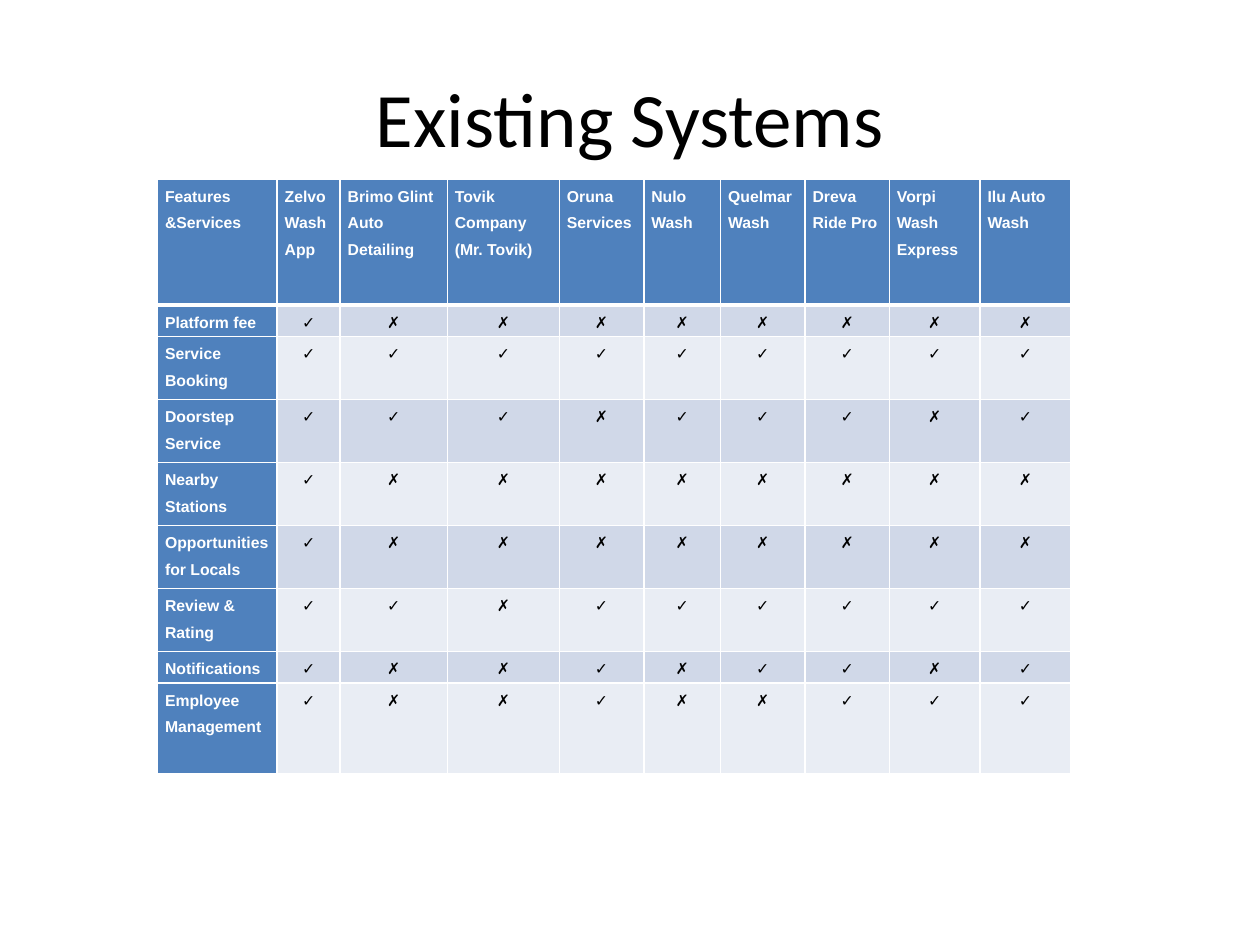
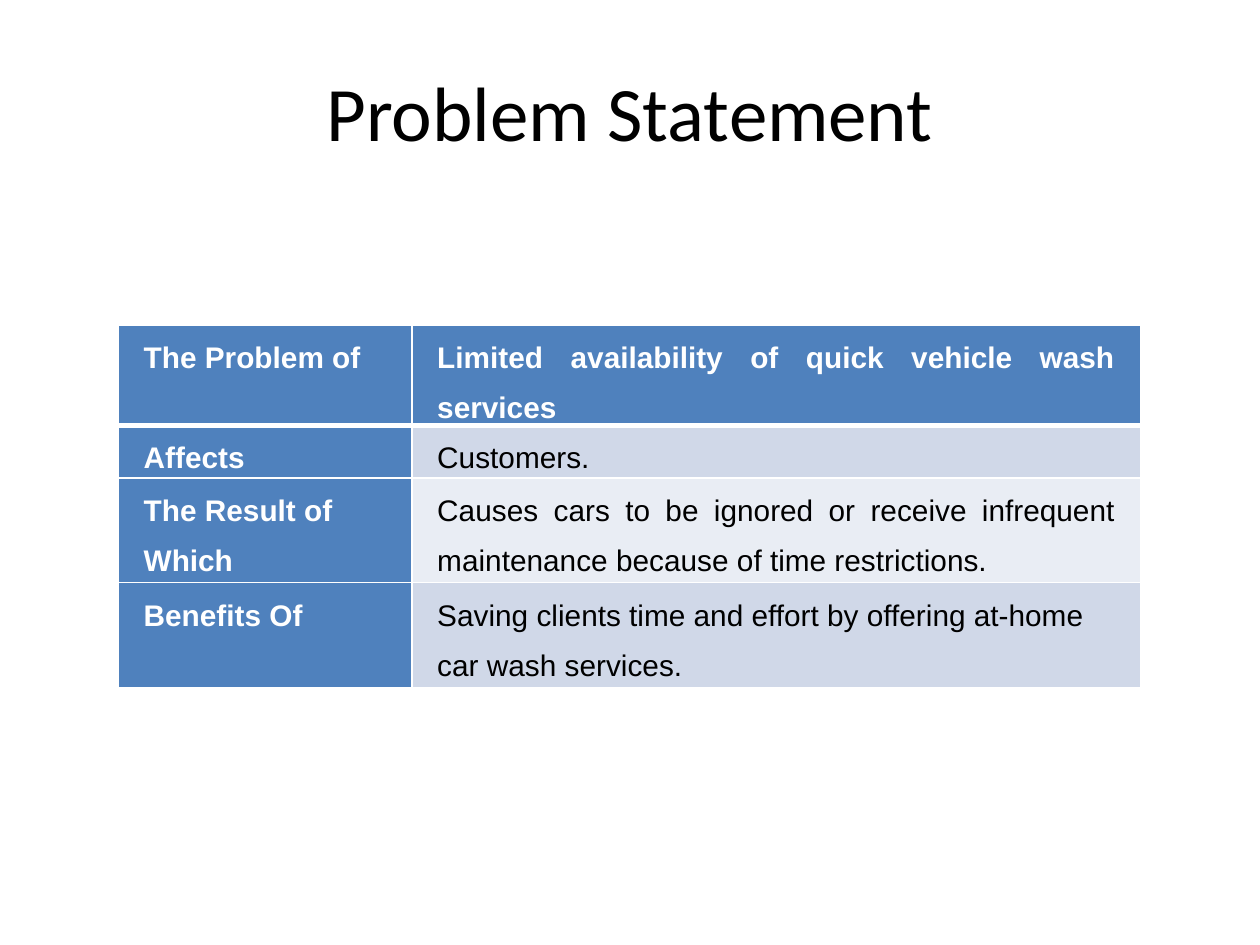
from pptx import Presentation
from pptx import util as u
from pptx.dml.color import RGBColor
from pptx.enum import text
from pptx.oxml import parse_xml
from pptx.oxml.ns import nsdecls

COLORS = {"head": "4F81BD", "odd": "D0D8E8", "even": "E9EDF4",
          "rule": "FFFFFF", "label": "FFFFFF", "ink": "000000"}
LEFT, CENTER, JUSTIFY = (text.PP_ALIGN.LEFT, text.PP_ALIGN.CENTER,
                         text.PP_ALIGN.JUSTIFY)

deck = Presentation()
deck.slide_width, deck.slide_height = u.Inches(10), u.Inches(7.5)
COL = deck.slide_width / 100  # grid column
ROW = deck.slide_height / 30  # grid row


def rule_cell(cell, top, bottom):
    """Draw the four cell borders, ahead of the fill."""
    props = cell._tc.get_or_add_tcPr()
    for place, (side, points) in enumerate(
            [("L", 1), ("R", 1), ("T", top), ("B", bottom)]):
        props.insert(place, parse_xml(
            f'<a:ln{side} {nsdecls("a")} w="{u.Pt(points)}"><a:solidFill>'
            f'<a:srgbClr val="{COLORS["rule"]}"/></a:solidFill></a:ln{side}>'))


# Feature comparison: ✓ offered, ✗ not offered
providers = ["Features &Services", "Zelvo Wash App", "Brimo Glint Auto Detailing",
             "Tovik Company (Mr. Tovik)", "Oruna Services", "Nulo Wash",
             "Quelmar Wash", "Dreva Ride Pro", "Vorpi\nWash Express",
             "Ilu Auto Wash"]
features = {
    "Platform fee": "✓✗✗✗✗✗✗✗✗",
    "Service Booking": "✓✓✓✓✓✓✓✓✓",
    "Doorstep Service": "✓✓✓✗✓✓✓✗✓",
    "Nearby Stations": "✓✗✗✗✗✗✗✗✗",
    "Opportunities for Locals": "✓✗✗✗✗✗✗✗✗",
    "Review & Rating": "✓✓✗✓✓✓✓✓✓",
    "Notifications": "✓✗✗✓✗✓✓✗✓",
    "Employee Management": "✓✗✗✓✗✗✓✓✓",
}

# Problem statement: label and answer
problem = [
    ["The Problem of", "Limited availability of quick vehicle wash services"],
    ["Affects", "Customers."],
    ["The Result of Which", "Causes cars to be ignored or receive infrequent "
                            "maintenance because of time restrictions."],
    ["Benefits Of", "Saving clients time and effort by offering at-home "
                    "car wash services."],
]

# Both slides: a title and a table, measured in grid columns and rows
pages = [
    {"title": "Existing Systems", "title_row": 1.2,
     "content": [providers] + [[name, *marks] for name, marks in features.items()],
     "left": 12.5, "top": 5.68,
     "columns": [9.5, 5, 8.5, 8.9, 6.7, 6.1, 6.7, 6.7, 7.2, 7.2],
     "rows": [4, 1, 2, 2, 2, 2, 2, 1, 2.88],
     "size": 9, "inset": 0.6, "indent": 0, "spacing": 6,
     "aligns": [LEFT] + [CENTER] * 8},
    {"title": "Problem Statement", "title_row": 1,
     "content": problem,
     "left": 9.4, "top": 10.32,
     "columns": [23.3, 57.8], "rows": [1.67, 1.67, 3.33, 3.33],
     "size": 17, "inset": 1, "indent": 1, "spacing": 0,
     "aligns": [JUSTIFY, LEFT, JUSTIFY, LEFT]},
]

for page in pages:
    slide = deck.slides.add_slide(deck.slide_layouts[5])

    # Title
    title = slide.shapes.title
    title_box = {"left": 5 * COL, "top": page["title_row"] * ROW,
                 "width": 90 * COL, "height": 5 * ROW}
    for side, length in title_box.items():
        setattr(title, side, int(length))
    title.text_frame.text = page["title"]
    title_format = {"size": u.Pt(44), "name": "Calibri"}
    for key, value in title_format.items():
        setattr(title.text_frame.paragraphs[0].runs[0].font, key, value)

    # Table grid
    content, columns, rows = page["content"], page["columns"], page["rows"]
    grid = slide.shapes.add_table(
        len(rows), len(columns), int(page["left"] * COL), int(page["top"] * ROW),
        int(sum(columns) * COL), int(sum(rows) * ROW)).table
    for column, share in zip(grid.columns, columns):
        column.width = int(share * COL)
    for row, share in zip(grid.rows, rows):
        row.height = int(share * ROW)

    # Cells: header row and label column are blue, the rest is banded
    for r, line in enumerate(content):
        for c, words in enumerate(line):
            cell = grid.cell(r, c)
            is_label = r == 0 or c == 0
            band = "head" if is_label else "odd" if r % 2 else "even"
            cell.fill.solid()
            cell.fill.fore_color.rgb = RGBColor.from_string(COLORS[band])
            rule_cell(cell, top=3 if r == 1 else 1, bottom=3 if r == 0 else 1)

            inset = int(page["inset"] * COL)
            margins = {"margin_left": inset, "margin_right": inset,
                       "margin_top": 0, "margin_bottom": 0}
            for key, value in margins.items():
                setattr(cell, key, value)

            cell.text_frame.text = words
            gap = u.Pt(0 if is_label else page["spacing"])
            layout = {"line_spacing": 1.5, "space_before": gap, "space_after": gap,
                      "alignment": page["aligns"][r] if c else LEFT}
            style = {"name": "Arial", "size": u.Pt(page["size"]), "bold": is_label}
            for paragraph in cell.text_frame.paragraphs:
                for key, value in layout.items():
                    setattr(paragraph, key, value)
                indent = paragraph._p.get_or_add_pPr()
                indent.set("marL", str(int(page["indent"] * COL)))
                indent.set("marR", indent.get("marL"))
                font = paragraph.runs[0].font
                for key, value in style.items():
                    setattr(font, key, value)
                font.color.rgb = RGBColor.from_string(
                    COLORS["label" if is_label else "ink"])

deck.save("out.pptx")
